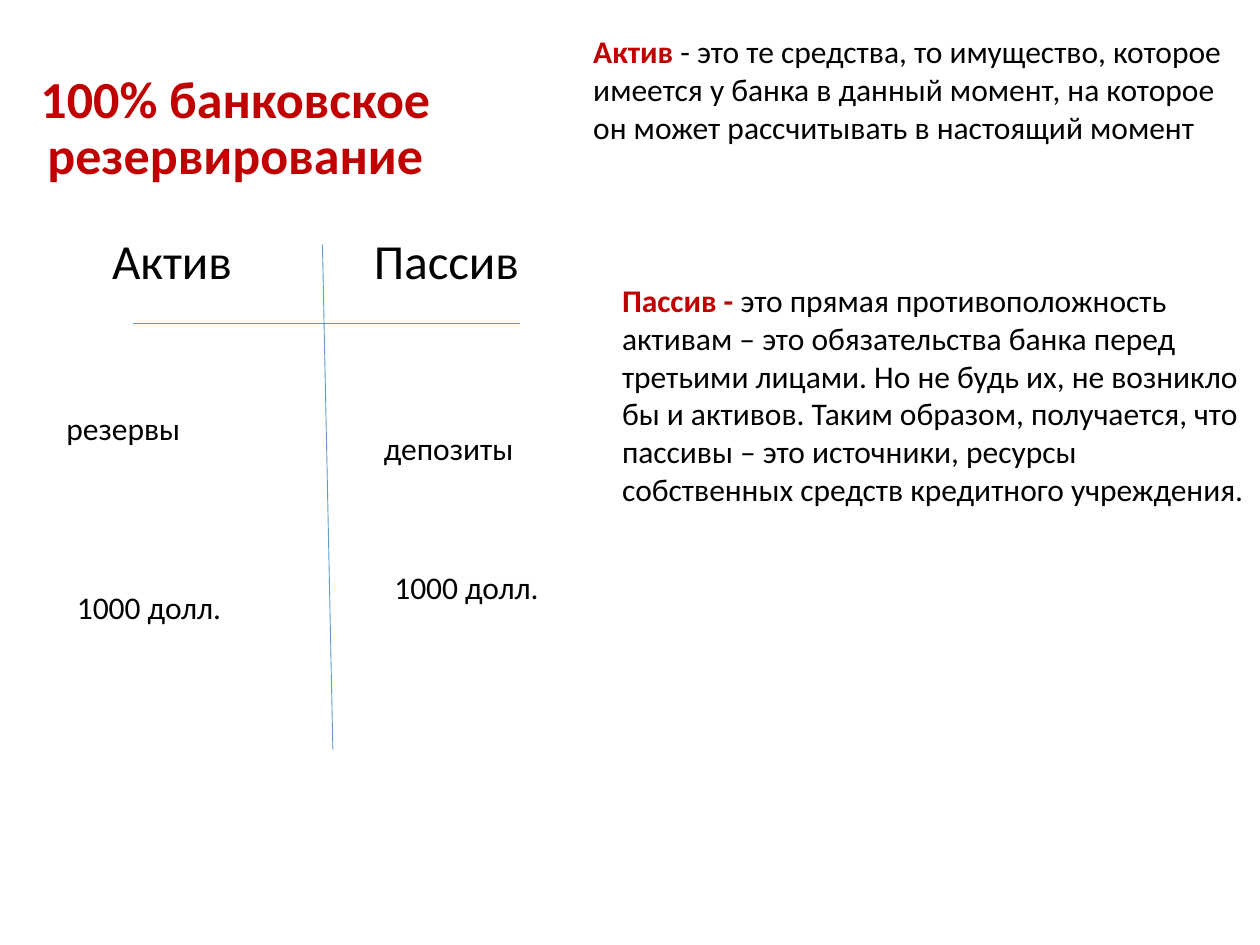
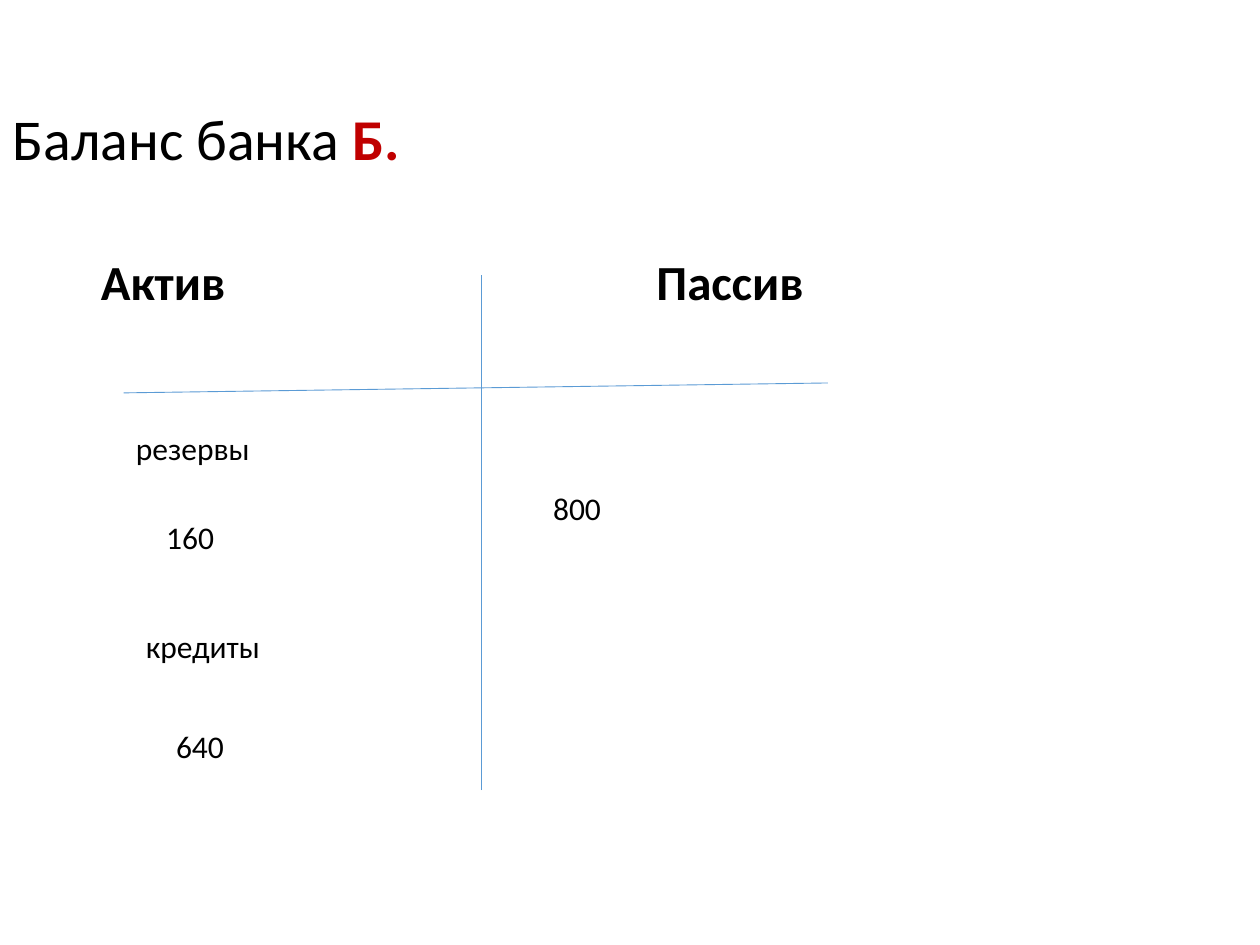
from lxml import etree
from pptx import Presentation
from pptx.dml.color import RGBColor
from pptx.enum import shapes, text
from pptx.oxml import ns
from pptx.util import Cm, Pt

COLORS = {"text": "000000", "accent": "C00000", "line": "5B9BD5"}
FONT = "Calibri"


def write(p, parts, size):
    """Fill a paragraph with (text, colour name, bold) parts."""
    for words, color, bold in parts:
        r = p.add_run()
        r.text = words
        r.font.name, r.font.size, r.font.bold = FONT, Pt(size), bold
        r.font.color.rgb = RGBColor.from_string(COLORS[color])


def place(sp, box):
    """Move a shape to a box given in centimetres."""
    sp.left, sp.top, sp.width, sp.height = map(Cm, box)


def fill_placeholder(sp, box, parts, size, align):
    """Place a placeholder, write its paragraph and return the paragraph."""
    place(sp, box)
    tf = sp.text_frame
    tf.auto_size = text.MSO_AUTO_SIZE.NONE
    p = tf.paragraphs[0]
    p.alignment, p.line_spacing = align, 0.9
    write(p, parts, size)
    return p


def add_text(s, box, parts, size=18):
    """Add a wrapping text box."""
    tf = s.shapes.add_textbox(*map(Cm, box)).text_frame
    tf.word_wrap = True
    write(tf.paragraphs[0], parts, size)


def add_line(s, ends):
    """Add a thin ruling line without shadow."""
    line = s.shapes.add_connector(shapes.MSO_CONNECTOR.STRAIGHT, *map(Cm, ends))
    line.line.color.rgb = RGBColor.from_string(COLORS["line"])
    line.line.width = Pt(0.5)
    etree.SubElement(line._element.spPr, ns.qn("a:effectLst"))


def add_account(s, origin, rules, entries):
    """Draw a T-account: its rules and entries relative to the origin."""
    left, top = origin
    for x1, y1, x2, y2 in rules:
        add_line(s, (left + x1, top + y1, left + x2, top + y2))
    for words, x, y, size in entries:
        height = 1.45 if size > 18 else 1.02
        add_text(s, (left + x, top + y, 4.6, height), [(words, "text", False)], size)


def add_column_head(sp, box, head, indent):
    """Write one bold column head, without bullet, in a body placeholder."""
    p = fill_placeholder(sp, box, [(head, "text", True)], 28, text.PP_ALIGN.LEFT)
    p.space_before = Pt(7.5)
    ppr = p._p.get_or_add_pPr()
    ppr.set("marL", str(int(Cm(indent))))
    ppr.set("indent", "0")
    etree.SubElement(ppr, ns.qn("a:buNone"))


def add_column_heads(s, box, split, indent):
    """Divide the box at the split into the two account columns."""
    left, top, width, height = box
    assets, liabilities = s.placeholders[1], s.placeholders[2]
    add_column_head(assets, (left, top, split, height), "Актив", indent)
    add_column_head(liabilities, (left + split, top, width - split, height), "Пассив", 0)


def reserve_slide(prs):
    """Build the slide on full reserve banking."""
    s = prs.slides.add_slide(prs.slide_layouts[5])
    fill_placeholder(s.shapes.title, (0, 1.27, 9.5, 2.67),
                     [("100% банковское резервирование", "accent", True)],
                     29.7, text.PP_ALIGN.CENTER)
    add_account(s, (0, 4.52),
                [(2.69, 2.01, 10.49, 2.01), (6.5, 0.41, 6.71, 10.59)],
                [("Актив", 2.01, 0, 28), ("Пассив", 7.29, 0, 28),
                 ("резервы", 1.09, 3.61, 18), ("депозиты", 7.49, 4.01, 18),
                 ("1000 долл.", 7.7, 6.81, 18), ("1000 долл.", 1.3, 7.21, 18)])
    definitions = [
        ((11.71, 0.53, 13.21, 8.71), "Актив",
         " - это те средства, то имущество, которое имеется у банка в данный момент, "
         "на которое он может рассчитывать в настоящий момент"),
        ((12.29, 5.54, 13.11, 4.88), "Пассив - ",
         "это прямая противоположность активам – это обязательства банка перед третьими "
         "лицами. Но не будь их, не возникло бы и активов. Таким образом, получается, что "
         "пассивы – это источники, ресурсы собственных средств кредитного учреждения."),
    ]
    for box, term, meaning in definitions:
        add_text(s, box, [(term, "accent", True), (meaning, "text", False)])


def balance_slide(prs):
    """Build the slide with the balance of bank Б."""
    s = prs.slides.add_slide(prs.slide_layouts[3])
    fill_placeholder(s.shapes.title, (0, 1.02, 21.89, 3.68),
                     [("Баланс банка ", "text", False), ("Б.", "accent", True)],
                     33, text.PP_ALIGN.LEFT)
    add_column_heads(s, (0, 5.08, 21.89, 12.09), 12.98, 1.78)
    add_account(s, (0, 5.08),
                [(9.7, 10.85, 9.7, 0.46), (2.49, 2.84, 16.69, 2.64)],
                [("800", 10.9, 4.65, 18), ("160", 3.1, 5.23, 18),
                 ("резервы", 2.49, 3.45, 18), ("кредиты", 2.69, 7.44, 18),
                 ("640", 3.3, 9.45, 18)])


def main():
    """Build and save the presentation."""
    prs = Presentation()
    prs.slide_width, prs.slide_height = Cm(25.4), Cm(19.05)
    reserve_slide(prs)
    balance_slide(prs)
    prs.save("out.pptx")


if __name__ == "__main__":
    main()
